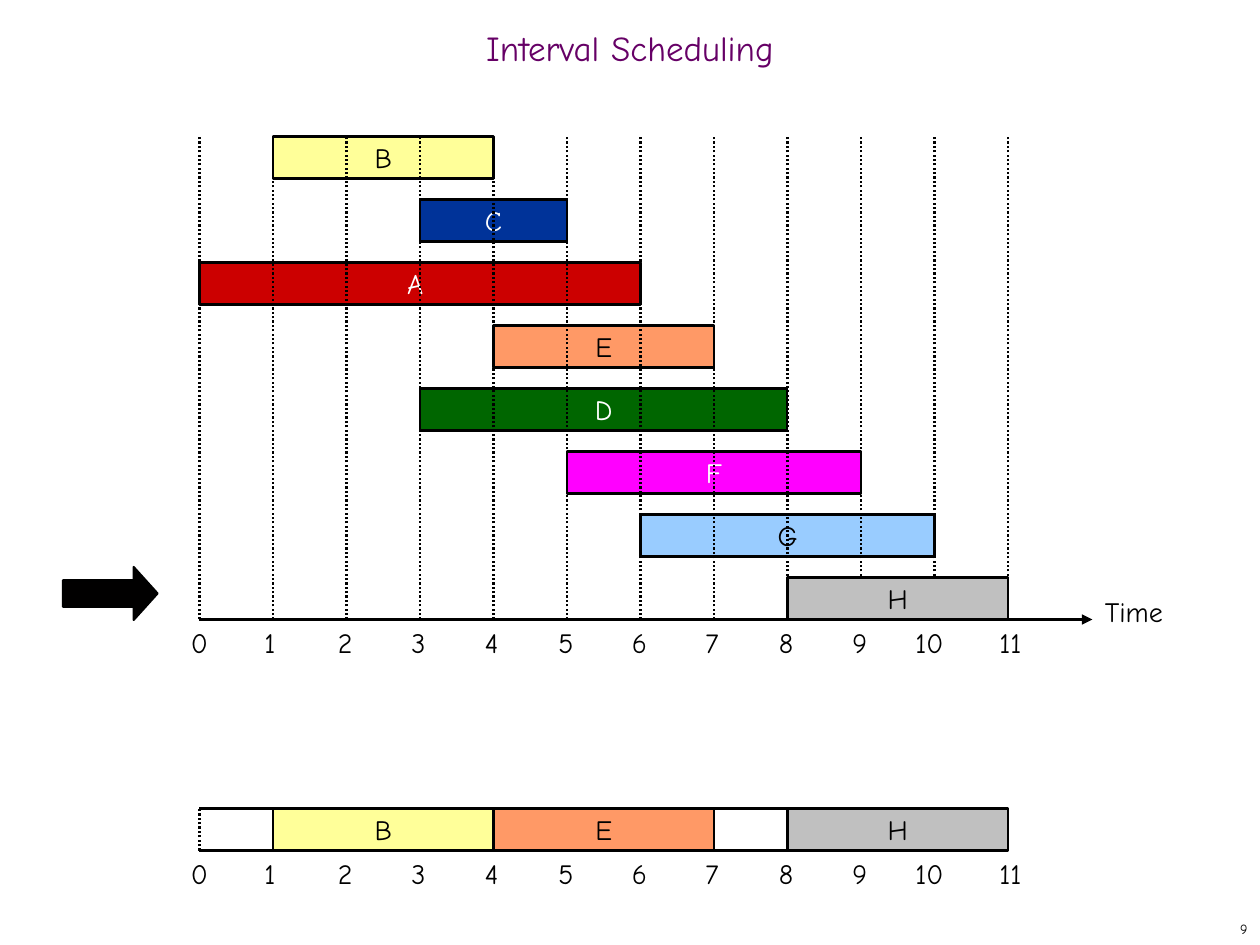
"""Build the Interval Scheduling slide."""
from dataclasses import dataclass

from lxml import etree
from pptx import Presentation
from pptx.dml.color import RGBColor
from pptx.enum.dml import MSO_LINE
from pptx.enum.shapes import MSO_CONNECTOR, MSO_SHAPE
from pptx.enum.text import MSO_ANCHOR, MSO_AUTO_SIZE, PP_ALIGN
from pptx.oxml.ns import qn
from pptx.util import Inches, Pt

STRAIGHT = MSO_CONNECTOR.STRAIGHT
RECTANGLE, RIGHT_ARROW = MSO_SHAPE.RECTANGLE, MSO_SHAPE.RIGHT_ARROW
DOTTED = MSO_LINE.ROUND_DOT
TOP, MIDDLE = MSO_ANCHOR.TOP, MSO_ANCHOR.MIDDLE
LEFT, CENTER, RIGHT = PP_ALIGN.LEFT, PP_ALIGN.CENTER, PP_ALIGN.RIGHT
NO_AUTOFIT = MSO_AUTO_SIZE.NONE


@dataclass(frozen=True)
class Theme:
    """Colours, type sizes and line width of the slide."""
    font: str = "Comic Neue"
    title_size: int = 20
    label_size: int = 16
    number_size: int = 8
    line_width: float = 1.25
    title: str = "660066"
    ink: str = "000000"
    light: str = "FFFFFF"
    arrow: str = "010000"
    yellow: str = "FFFF99"
    blue: str = "003399"
    red: str = "CC0000"
    orange: str = "FF9966"
    green: str = "006600"
    magenta: str = "FF00FF"
    sky: str = "99CCFF"
    gray: str = "C0C0C0"


THEME = Theme()
JOBS = {
    "B": (1, 4, THEME.yellow, THEME.ink),
    "C": (3, 5, THEME.blue, THEME.light),
    "A ": (0, 6, THEME.red, THEME.light),
    "E": (4, 7, THEME.orange, THEME.ink),
    "D": (3, 8, THEME.green, THEME.light),
    "F": (5, 9, THEME.magenta, THEME.light),
    "G": (6, 10, THEME.sky, THEME.ink),
    "H": (8, 11, THEME.gray, THEME.ink),
}
SELECTED = ("B", "E", "H")
LAST_TIME = 11
ORIGIN, HOUR = 19 / 12, 7 / 12
CHART_TOP, ROW_STEP, BAR_HEIGHT = 13 / 12, 0.5, 1 / 3
CHART_BASE = CHART_TOP + 7 * ROW_STEP + BAR_HEIGHT
SCHEDULE_BASE = 6.75
SCHEDULE_TOP = SCHEDULE_BASE - BAR_HEIGHT


def time_x(time):
    """Return the horizontal place of a time in inches."""
    return ORIGIN + time * HOUR


class SlideBuilder:
    """Draw styled elements on the current slide."""

    def __init__(self, slide, theme):
        """Keep the slide and its theme."""
        self.slide, self.theme = slide, theme

    def set_text(self, shape, text, size, color, align, anchor, wrap=True, spacing=None):
        """Put formatted text in a shape."""
        frame = shape.text_frame
        frame.text = text
        paragraph = frame.paragraphs[0]
        font = paragraph.runs[0].font
        formats = (
            (frame, {"word_wrap": wrap, "auto_size": NO_AUTOFIT, "vertical_anchor": anchor}),
            (paragraph, {"alignment": align, "line_spacing": spacing}),
            (font, {"name": self.theme.font, "size": Pt(size), "bold": False}),
        )
        for target, values in formats:
            for name, value in values.items():
                setattr(target, name, value)
        font.color.rgb = RGBColor.from_string(color)

    def title(self, text, *box):
        """Place and format the title placeholder."""
        shape = self.slide.shapes.title
        for name, value in zip(("left", "top", "width", "height"), box):
            setattr(shape, name, Inches(value))
        self.set_text(shape, text, self.theme.title_size, self.theme.title,
                      CENTER, MIDDLE, spacing=0.7)

    def label(self, text, *box, size=THEME.label_size, align=LEFT, anchor=TOP):
        """Add a text box."""
        shape = self.slide.shapes.add_textbox(*map(Inches, box))
        self.set_text(shape, text, size, self.theme.ink, align, anchor)

    def outline(self, line):
        """Apply the common line style."""
        line.color.rgb = RGBColor.from_string(self.theme.ink)
        line.width = Pt(self.theme.line_width)

    def block(self, kind, fill, *box):
        """Add a filled and outlined preset shape."""
        shape = self.slide.shapes.add_shape(kind, *map(Inches, box))
        shape.shadow.inherit = False
        shape.fill.solid()
        shape.fill.fore_color.rgb = RGBColor.from_string(fill)
        self.outline(shape.line)
        return shape

    def job(self, name, top):
        """Add the bar of a job at its start and end times."""
        start, end, fill, color = JOBS[name]
        shape = self.block(RECTANGLE, fill, time_x(start), top,
                           (end - start) * HOUR, BAR_HEIGHT)
        self.set_text(shape, name, self.theme.label_size, color, CENTER, MIDDLE, wrap=False)

    def line(self, *ends, dash=None, arrow=False):
        """Add a straight line, dotted or with an arrowhead on demand."""
        connector = self.slide.shapes.add_connector(STRAIGHT, *map(Inches, ends))
        self.outline(connector.line)
        if dash:
            connector.line.dash_style = dash
        properties = connector._element.spPr
        if arrow:
            etree.SubElement(properties.find(qn("a:ln")), qn("a:tailEnd"), type="triangle")
        etree.SubElement(properties, qn("a:effectLst"))

    def time_grid(self, top, base):
        """Add a dotted line at each time."""
        for time in range(LAST_TIME + 1):
            self.line(time_x(time), base, time_x(time), top, dash=DOTTED)

    def time_labels(self, base):
        """Add the number of each time below the base line."""
        for time in range(LAST_TIME + 1):
            offset = 0.25 if time == 10 else 1 / 6
            self.label(str(time), time_x(time) - offset, base, 0.5, 0.37)


def main():
    """Create the slide and save it."""
    presentation = Presentation()
    presentation.slide_width, presentation.slide_height = Inches(10), Inches(7.5)
    slide = presentation.slides.add_slide(presentation.slide_layouts[5])
    builder = SlideBuilder(slide, THEME)
    builder.title("Interval Scheduling", 0, 0.17, 10, 0.5)

    builder.time_grid(SCHEDULE_TOP, SCHEDULE_BASE)
    for height in (SCHEDULE_TOP, SCHEDULE_BASE):
        builder.line(ORIGIN, height, time_x(LAST_TIME), height)
    builder.time_labels(SCHEDULE_BASE)
    for name in SELECTED:
        builder.job(name, SCHEDULE_TOP)

    arrow = builder.block(RIGHT_ARROW, THEME.arrow, 0.5, 4.5, 0.75, 0.42)
    arrow.adjustments[1] = 0.45
    builder.line(ORIGIN, CHART_BASE, 8.67, CHART_BASE, arrow=True)
    builder.label("Time", 8.67, 4.67, 0.92, 0.37)
    *earlier_jobs, last_job = JOBS
    for row, name in enumerate(earlier_jobs):
        builder.job(name, CHART_TOP + row * ROW_STEP)
    builder.time_grid(CHART_TOP, CHART_BASE)
    builder.time_labels(CHART_BASE)
    builder.job(last_job, CHART_BASE - BAR_HEIGHT)

    builder.label("9", 7.92, 7.25, 2.08, 0.25, size=THEME.number_size,
                  align=RIGHT, anchor=MIDDLE)
    presentation.save("out.pptx")


if __name__ == "__main__":
    main()
